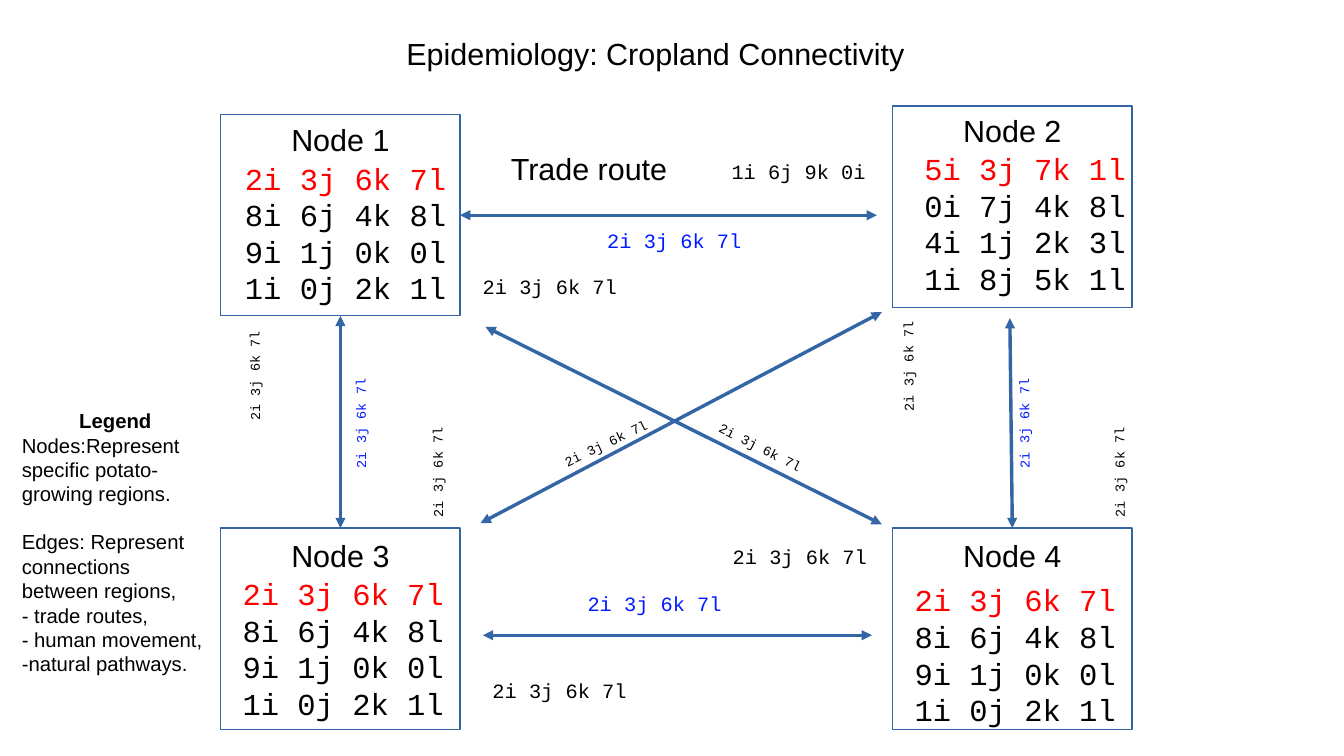
"""Build the cropland connectivity slide: four nodes, their edges and a legend."""
import pptx
import pptx.util
import pptx.dml.color
import pptx.enum.shapes
import pptx.enum.text
import pptx.oxml
import pptx.oxml.ns

Pt = pptx.util.Pt
Align = pptx.enum.text.PP_ALIGN
Anchor = pptx.enum.text.MSO_ANCHOR

THEME = {
    "ink": "000000", "red": "FF0000", "blue": "001BFF", "edge": "3465A4",
    "sans": "Arial", "mono": "Courier New",
    "big": 18, "mid": 12, "small": 8,
}
TITLE = "Epidemiology: Cropland Connectivity"
CODE = "2i 3j 6k 7l"
ROWS = [CODE, "8i 6j 4k 8l", "9i 1j 0k 0l", "1i 0j 2k 1l"]
ROWS2 = ["5i 3j 7k 1l", "0i 7j 4k 8l", "4i 1j 2k 3l", "1i 8j 5k 1l"]
SIZE = (141.3, 118.8)
NODES = [
    ("Node 1", 130.3, 67.7, 3.6, (137.5, 90.7), ROWS),
    ("Node 2", 527, 62.6, 3.6, (538.6, 85), ROWS2),
    ("Node 3", 130.3, 311.8, 5, (136.1, 336.2), ROWS),
    ("Node 4", 527, 311.8, 5, (532.8, 339.8), ROWS),
]
EDGES = [
    (("Node 1", 3), (517.7, 127.1)),
    ((285.1, 375.1), (514.8, 375.1)),
    (("Node 1", 2), ("Node 3", 0)),
    ((596.2, 187.9), ("Node 4", 0)),
    ((520.6, 309.6), (286.6, 193)),
    ((283.7, 308.9), (520.6, 184.3)),
]
WIDE = [
    (CODE, 351.4, 131, "blue"), ("1i 6j 9k 0i", 424.8, 90.7, "ink"),
    (CODE, 277.9, 158.4, "ink"), (CODE, 339.8, 345.6, "blue"),
    (CODE, 425.5, 317.5, "ink"), (CODE, 283.7, 396.7, "ink"),
]
TURNED = [
    (226.8, 267.1, "ink", 269.6), (118.8, 210.2, "ink", 269.6),
    (181.4, 238.3, "blue", 269.6), (504.7, 204.5, "ink", 269.6),
    (629.3, 267.1, "ink", 269.6), (573.1, 238.3, "blue", 269.6),
    (325.1, 252.7, "ink", 334.2), (414, 255.6, "ink", 27),
]
LEGEND = [
    ("Legend", {"alignment": Align.CENTER}, True),
    ("Nodes:Represent specific potato-growing regions.", {}, False),
    ("Edges: Represent connections between regions,", {"space_before": Pt(14)}, False),
    ("- trade routes,", {}, False),
    ("- human movement,", {}, False),
    ("-natural pathways.", {}, False),
]


def apply(item, form):
    """Set every attribute named in the dict."""
    for key, val in form.items():
        setattr(item, key, val)


def tint(name):
    """Return a theme colour."""
    return pptx.dml.color.RGBColor.from_string(THEME[name])


def write(para, text, face, size, hue="ink", bold=False):
    """Put one formatted run in a paragraph."""
    run = para.add_run()
    run.text = text
    apply(run.font, {"name": THEME[face], "size": Pt(THEME[size]), "bold": bold})
    run.font.color.rgb = tint(hue)


def add_text(slide, box, lines, face, size, turn=0):
    """Add a text box; each line is text, paragraph format, colour and weight."""
    shape = slide.shapes.add_textbox(*map(Pt, box))
    shape.rotation = turn
    frame = shape.text_frame
    frame.word_wrap = True
    for num, (text, form, hue, bold) in enumerate(lines):
        para = frame.add_paragraph() if num else frame.paragraphs[0]
        apply(para, form)
        write(para, text, face, size, hue, bold)


def add_node(slide, name, left, top, pad, spot, rows):
    """Add a named box with its code rows and return the box."""
    kind = pptx.enum.shapes.MSO_SHAPE.RECTANGLE
    box = slide.shapes.add_shape(kind, *map(Pt, (left, top, *SIZE)))
    box.shadow.inherit = False
    box.fill.background()
    box.line.color.rgb = tint("edge")
    box.line.width = Pt(0)
    frame = box.text_frame
    apply(frame, {"vertical_anchor": Anchor.TOP, "margin_top": Pt(pad)})
    frame.paragraphs[0].alignment = Align.CENTER
    write(frame.paragraphs[0], name, "sans", "big")
    lines = [(row, {}, "ink" if num else "red", False) for num, row in enumerate(rows)]
    add_text(slide, (*spot, 142, 96), lines, "mono", "big")
    return box


def add_edge(slide, boxes, start, end):
    """Add a two-headed line between points or node sides."""
    kind = pptx.enum.shapes.MSO_CONNECTOR.STRAIGHT
    ends = [(0, 0) if spot[0] in boxes else spot for spot in (start, end)]
    line = slide.shapes.add_connector(kind, *map(Pt, ends[0] + ends[1]))
    for spot, join in ((start, line.begin_connect), (end, line.end_connect)):
        if spot[0] in boxes:
            join(boxes[spot[0]], spot[1])
    line.line.color.rgb = tint("edge")
    line.line.width = Pt(0)
    make = pptx.oxml.ns.qn
    stroke = line.line._get_or_add_ln()
    for tag in ("a:headEnd", "a:tailEnd"):
        stroke.append(stroke.makeelement(make(tag), {"type": "triangle"}))
    props = stroke.getparent()
    props.append(props.makeelement(make("a:effectLst"), {}))


def main():
    """Build and save the slide."""
    deck = pptx.Presentation()
    apply(deck, {"slide_width": Pt(793.44), "slide_height": Pt(446.4)})
    slide = deck.slides.add_slide(deck.slide_layouts[5])
    title = slide.shapes.title
    apply(title, {"left": Pt(41), "top": Pt(0), "width": Pt(692), "height": Pt(62.6)})
    frame = title.text_frame
    apply(frame, {"vertical_anchor": Anchor.MIDDLE, "margin_left": 0, "margin_right": 0,
                  "margin_top": 0, "margin_bottom": 0})
    frame.paragraphs[0].alignment = Align.CENTER
    write(frame.paragraphs[0], TITLE, "sans", "big")

    boxes = {node[0]: add_node(slide, *node) for node in NODES}
    for edge in EDGES:
        add_edge(slide, boxes, *edge)
    add_text(slide, (294.5, 85, 108, 45), [("Trade route", {}, "ink", False)], "sans", "big")
    for text, left, top, hue in WIDE:
        add_text(slide, (left, top, 96.5, 22.3), [(text, {}, hue, False)], "mono", "mid")
    for left, top, hue, turn in TURNED:
        add_text(slide, (left, top, 68.4, 22.3), [(CODE, {}, hue, False)], "mono", "small", turn)
    lines = [(text, form, "ink", bold) for text, form, bold in LEGEND]
    add_text(slide, (5.8, 237.6, 124.6, 168.5), lines, "sans", "mid")
    deck.save("out.pptx")


if __name__ == "__main__":
    main()
